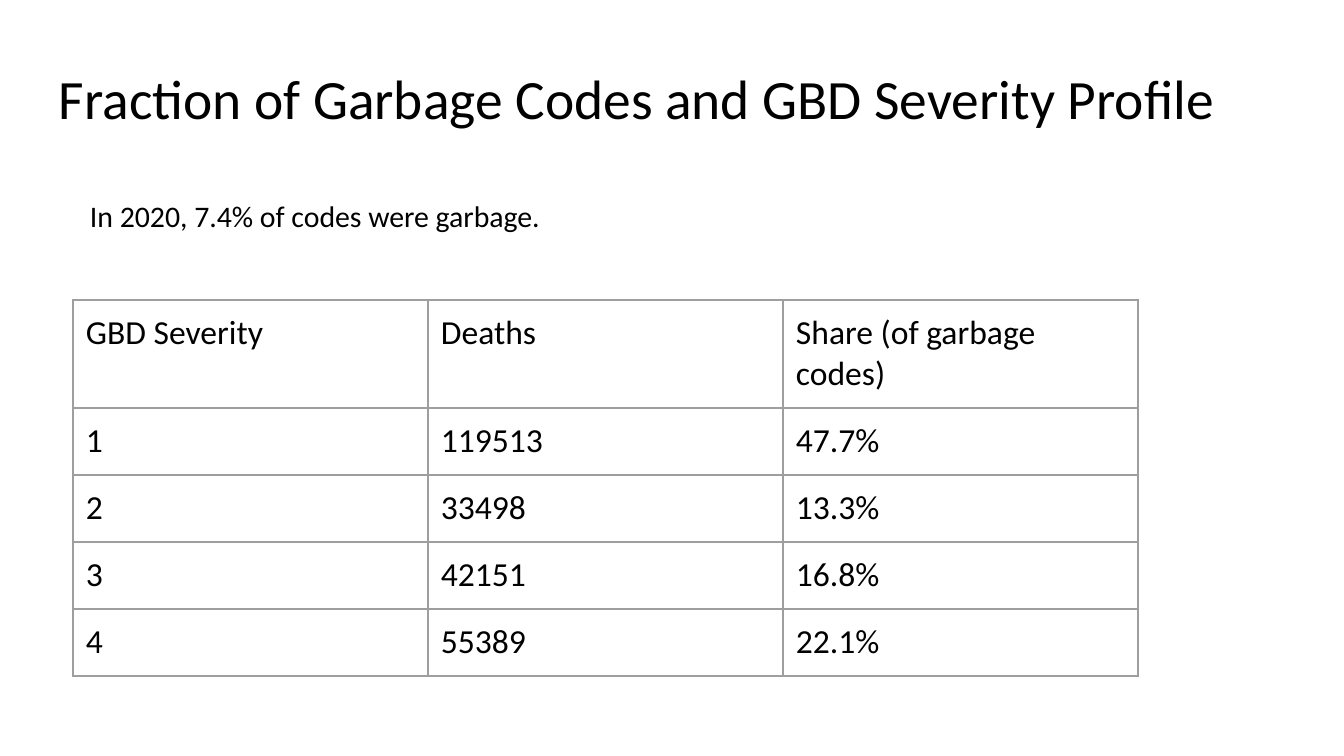
from dataclasses import dataclass

from lxml import etree
from pptx import Presentation
from pptx import util as u
from pptx.dml.color import RGBColor
from pptx.enum import text
from pptx.oxml.ns import qn

TITLE = "Fraction of Garbage Codes and GBD Severity Profile"
SUMMARY = "In 2020, 7.4% of codes were garbage."
SEVERITY_ROWS = [
    ("GBD Severity", "Deaths", "Share (of garbage codes)"),
    ("1", "119513", "47.7%"),
    ("2", "33498", "13.3%"),
    ("3", "42151", "16.8%"),
    ("4", "55389", "22.1%"),
]

SLIDE_SIZE = (1344, 756)
TITLE_BOX = (46, 59, 1253, 85)
SUMMARY_BOX = (77, 185, 1003, 63)
TABLE_LEFT, TABLE_TOP = 73, 300
COLUMN_WIDTH, ROW_HEIGHT = 355, 57
INSET = 13


@dataclass(frozen=True)
class Theme:
    font: str = "Calibri"
    ink: str = "000000"
    border: str = "9E9E9E"
    title_size: float = 29.7
    summary_size: float = 16
    table_size: float = 18
    border_width: float = 0.75


THEME = Theme()


def px(length):
    return u.Emu(round(length * 914400 / 134.4))


def set_insets(target):
    """Give a text frame or a table cell the same margin on all sides."""
    for side in ("left", "top", "right", "bottom"):
        setattr(target, f"margin_{side}", px(INSET))


def write(frame, content, size):
    frame.word_wrap = True
    frame.vertical_anchor = text.MSO_ANCHOR.TOP
    frame.text = content
    paragraph = frame.paragraphs[0]
    paragraph.alignment = text.PP_ALIGN.LEFT
    paragraph.font.name = THEME.font
    paragraph.font.size = u.Pt(size)
    paragraph.font.color.rgb = RGBColor.from_string(THEME.ink)
    return paragraph


def outline_cell(cell):
    properties = cell._tc.get_or_add_tcPr()
    for index, side in enumerate(("lnL", "lnR", "lnT", "lnB")):
        line = etree.Element(qn(f"a:{side}"), w=str(u.Pt(THEME.border_width)))
        fill = etree.SubElement(line, qn("a:solidFill"))
        etree.SubElement(fill, qn("a:srgbClr"), val=THEME.border)
        properties.insert(index, line)


def add_title(slide):
    title = slide.shapes.title
    title.left, title.top, title.width, title.height = map(px, TITLE_BOX)
    frame = title.text_frame
    frame.auto_size = text.MSO_AUTO_SIZE.NONE
    set_insets(frame)
    write(frame, TITLE, THEME.title_size).line_spacing = 0.9


def add_summary(slide):
    frame = slide.shapes.add_textbox(*map(px, SUMMARY_BOX)).text_frame
    set_insets(frame)
    write(frame, SUMMARY, THEME.summary_size)
    frame.auto_size = text.MSO_AUTO_SIZE.SHAPE_TO_FIT_TEXT


def add_severity_table(slide):
    row_count, column_count = len(SEVERITY_ROWS), len(SEVERITY_ROWS[0])
    table = slide.shapes.add_table(
        row_count, column_count, px(TABLE_LEFT), px(TABLE_TOP),
        px(column_count * COLUMN_WIDTH), px(row_count * ROW_HEIGHT)).table
    table.first_row = table.horz_banding = False
    for row, values in enumerate(SEVERITY_ROWS):
        for column, value in enumerate(values):
            cell = table.cell(row, column)
            write(cell.text_frame, value, THEME.table_size)
            set_insets(cell)
            cell.fill.background()
            outline_cell(cell)


def main():
    presentation = Presentation()
    presentation.slide_width, presentation.slide_height = map(px, SLIDE_SIZE)
    title_only = presentation.slide_layouts[5]
    slide = presentation.slides.add_slide(title_only)
    add_title(slide)
    add_severity_table(slide)
    add_summary(slide)
    presentation.save("out.pptx")


if __name__ == "__main__":
    main()
